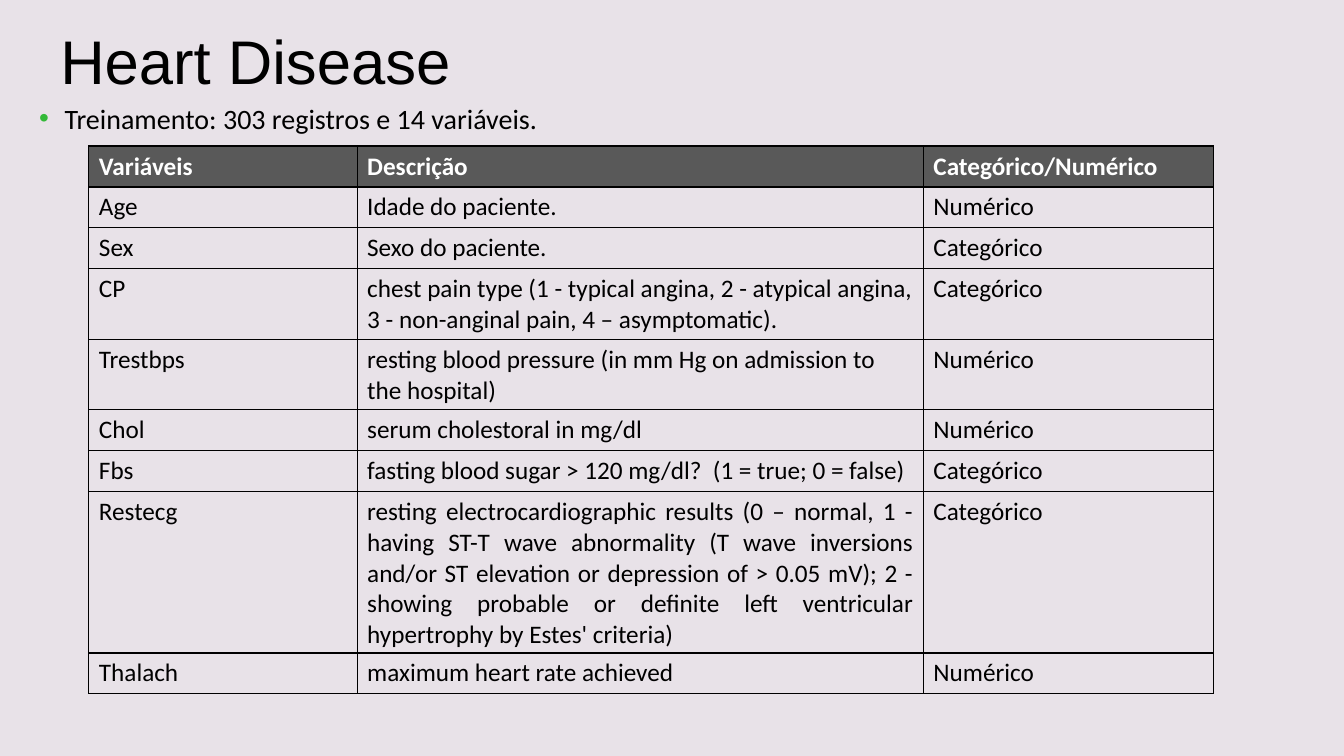
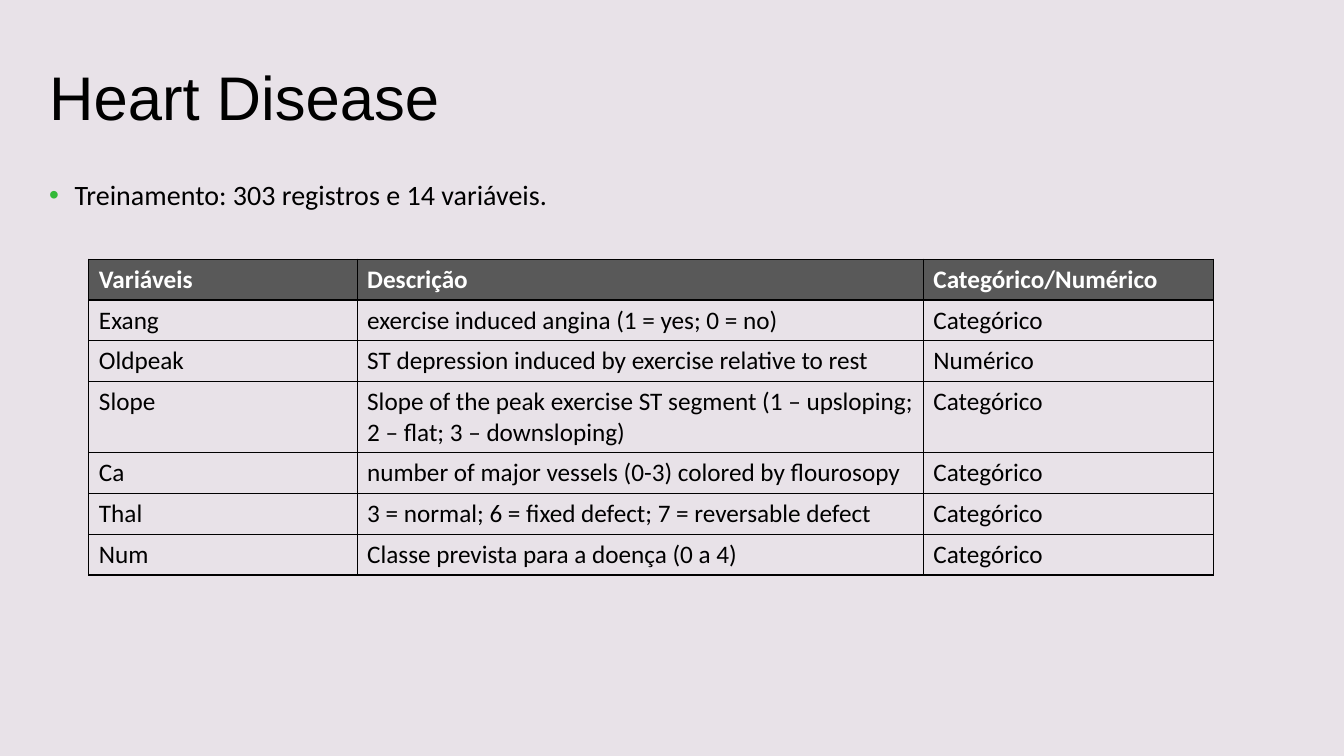
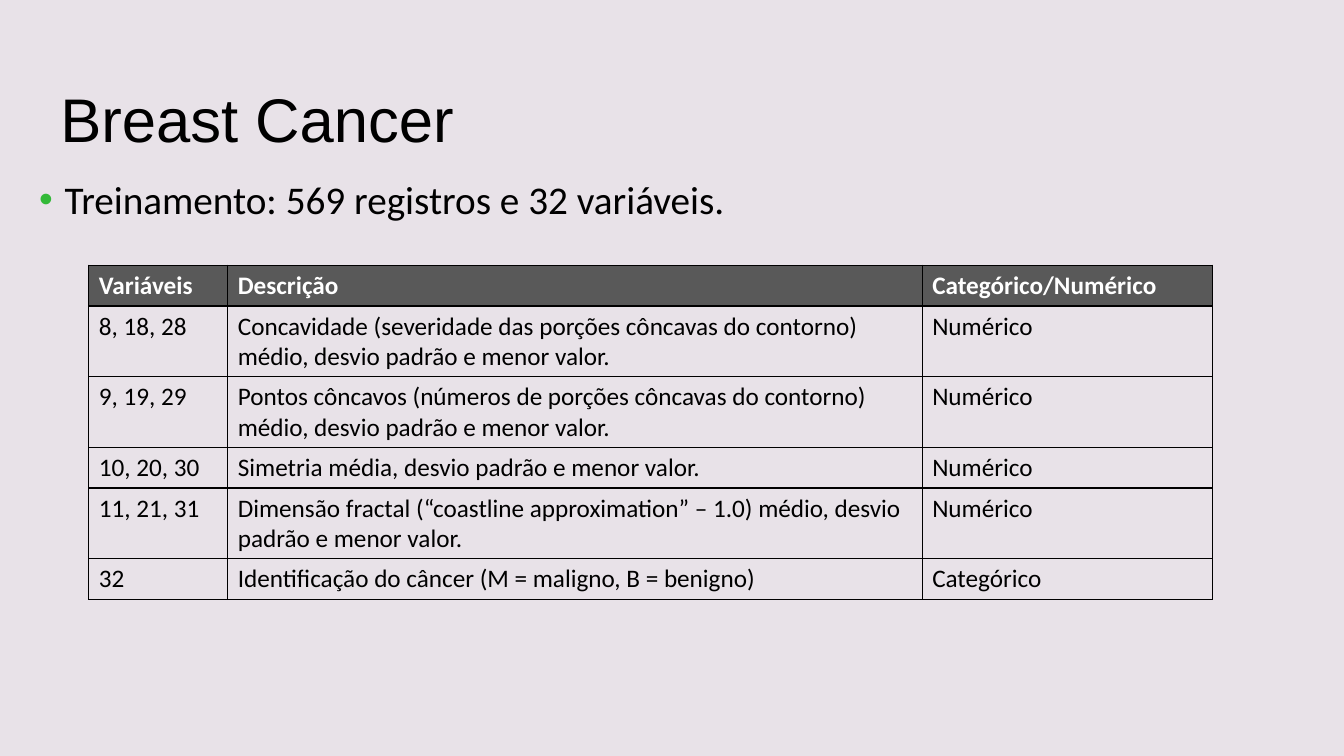
"""Builds three slides that describe the variables of two medical data sets."""
from dataclasses import dataclass

from lxml import etree
from pptx import Presentation
from pptx.dml.color import RGBColor
from pptx.enum.text import MSO_ANCHOR, PP_ALIGN
from pptx.oxml.ns import qn
from pptx.util import Cm, Pt

MIDDLE = MSO_ANCHOR.MIDDLE
LEFT = PP_ALIGN.LEFT
JUSTIFY = PP_ALIGN.JUSTIFY

NUMERIC = "Numérico"
CATEGORICAL = "Categórico"
HEADER = ("Variáveis", "Descrição", "Categórico/Numérico")
HEART_COLUMNS = (6.76, 14.27, 7.31)
CANCER_COLUMNS = (3.5, 17.5, 7.31)
HEART_SUMMARY = "Treinamento: 303 registros e 14 variáveis."

HEART_ROWS = [
    ("Age", "Idade do paciente.", NUMERIC),
    ("Sex", "Sexo do paciente.", CATEGORICAL),
    ("CP", "chest pain type (1 - typical angina, 2 - atypical angina, "
     "3 - non-anginal pain, 4 – asymptomatic).", CATEGORICAL),
    ("Trestbps", "resting blood pressure (in mm Hg on admission to the hospital)", NUMERIC),
    ("Chol", "serum cholestoral in mg/dl", NUMERIC),
    ("Fbs", "fasting blood sugar > 120 mg/dl?  (1 = true; 0 = false)", CATEGORICAL),
    ("Restecg", "resting electrocardiographic results (0 – normal, 1 - having ST-T wave "
     "abnormality (T wave inversions and/or ST elevation or depression of > 0.05 mV); "
     "2 - showing probable or definite left ventricular hypertrophy by Estes' criteria)",
     CATEGORICAL),
    ("Thalach", "maximum heart rate achieved", NUMERIC),
]
HEART_MORE_ROWS = [
    ("Exang", "exercise induced angina (1 = yes; 0 = no)", CATEGORICAL),
    ("Oldpeak", "ST depression induced by exercise relative to rest", NUMERIC),
    ("Slope", "Slope of the peak exercise ST segment (1 – upsloping; 2 – flat; "
     "3 – downsloping)", CATEGORICAL),
    ("Ca", "number of major vessels (0-3) colored by flourosopy", CATEGORICAL),
    ("Thal", "3 = normal; 6 = fixed defect; 7 = reversable defect", CATEGORICAL),
    ("Num", "Classe prevista para a doença (0 a 4)", CATEGORICAL),
]
CANCER_ROWS = [
    ("8, 18, 28", "Concavidade (severidade das porções côncavas do contorno) médio, "
     "desvio padrão e menor valor.", NUMERIC),
    ("9, 19, 29", "Pontos côncavos (números de porções côncavas do contorno) médio, "
     "desvio padrão e menor valor.", NUMERIC),
    ("10, 20, 30", "Simetria média, desvio padrão e menor valor.", NUMERIC),
    ("11, 21, 31", "Dimensão fractal (“coastline approximation” – 1.0) médio, "
     "desvio padrão e menor valor.", NUMERIC),
    ("32", "Identificação do câncer (M = maligno, B = benigno)", CATEGORICAL),
]


@dataclass(frozen=True)
class Theme:
    """Colours, fonts and type sizes of the deck."""
    paper: str = "E8E2E8"
    ink: str = "000000"
    header_fill: str = "595959"
    header_ink: str = "FFFFFF"
    bullet: str = "33B938"
    title_font: str = "Arial"
    body_font: str = "Calibri"
    title_size: int = 44
    body_size: int = 20
    large_body_size: int = 28
    table_size: int = 18


class DeckBuilder:
    """Holds the theme and the current page, and draws each kind of element."""

    def __init__(self, theme):
        """Open a widescreen deck with the shared background."""
        self.theme = theme
        self.deck = Presentation()
        self.deck.slide_width = Cm(33.87)
        self.deck.slide_height = Cm(19.05)
        fill = self.deck.slide_master.background.fill
        fill.solid()
        fill.fore_color.rgb = RGBColor.from_string(theme.paper)
        self.page = None

    def new_page(self):
        """Add a blank page and make it current."""
        self.page = self.deck.slides.add_slide(self.deck.slide_layouts[6])

    def span(self, para, text, font, size, color, bold=False):
        """Add one styled run to a paragraph."""
        run = para.add_run()
        run.text = text
        run.font.name = font
        run.font.size = Pt(size)
        run.font.bold = bold
        run.font.color.rgb = RGBColor.from_string(color)

    def text_frame(self, left, top, width, height):
        """Add a wrapping text box and return its frame."""
        box = self.page.shapes.add_textbox(Cm(left), Cm(top), Cm(width), Cm(height))
        box.text_frame.word_wrap = True
        return box.text_frame

    def title(self, text, left, top):
        """Add the page title."""
        frame = self.text_frame(left, top, 30.28, 3.68)
        frame.vertical_anchor = MIDDLE
        frame.margin_top = Cm(0.33)
        theme = self.theme
        self.span(frame.paragraphs[0], text, theme.title_font, theme.title_size, theme.ink)

    def bullet(self, text, left, top, size):
        """Add a bulleted line."""
        para = self.text_frame(left, top, 31.32, 11.66).paragraphs[0]
        properties = para._p.get_or_add_pPr()
        properties.set("marL", str(Cm(0.64)))
        properties.set("indent", str(-Cm(0.64)))
        color = etree.SubElement(properties, qn("a:buClr"))
        etree.SubElement(color, qn("a:srgbClr"), val=self.theme.bullet)
        etree.SubElement(properties, qn("a:buFont"), typeface="Arial")
        etree.SubElement(properties, qn("a:buChar"), char="•")
        para.line_spacing = 1.1
        self.span(para, text, self.theme.body_font, size, self.theme.ink)

    def borders(self, cell):
        """Outline all four sides of a cell."""
        properties = cell._tc.get_or_add_tcPr()
        for side in ("a:lnL", "a:lnR", "a:lnT", "a:lnB"):
            line = etree.SubElement(properties, qn(side), w=str(Pt(1)))
            fill = etree.SubElement(line, qn("a:solidFill"))
            etree.SubElement(fill, qn("a:srgbClr"), val=self.theme.ink)

    def cell(self, cell, text, is_header, alignment):
        """Fill in one table cell."""
        theme = self.theme
        self.borders(cell)
        if is_header:
            cell.fill.solid()
            cell.fill.fore_color.rgb = RGBColor.from_string(theme.header_fill)
        else:
            cell.fill.background()
        para = cell.text_frame.paragraphs[0]
        para.alignment = alignment
        color = theme.header_ink if is_header else theme.ink
        self.span(para, text, theme.body_font, theme.table_size, color, is_header)

    def table(self, rows, top, columns, justified=None):
        """Add a variable table, justifying the description of one variable."""
        lines = [HEADER, *rows]
        frame = self.page.shapes.add_table(
            len(lines), len(columns), Cm(2.24), Cm(top),
            Cm(sum(columns)), Cm(1.03 * len(lines)))
        table = frame.table
        table.first_row = False
        table.horz_banding = False
        for column, width in zip(table.columns, columns):
            column.width = Cm(width)
        for row, line in enumerate(lines):
            for column, text in enumerate(line):
                is_justified = column == 1 and line[0] == justified
                alignment = JUSTIFY if is_justified else LEFT
                self.cell(table.cell(row, column), text, row == 0, alignment)


def main():
    """Build the three pages and save the deck."""
    theme = Theme()
    builder = DeckBuilder(theme)

    builder.new_page()
    builder.title("Heart Disease", 1.27, -0.43)
    builder.table(HEART_ROWS, 3.68, HEART_COLUMNS, "Restecg")
    builder.bullet(HEART_SUMMARY, 0.74, 2.34, theme.body_size)

    builder.new_page()
    builder.title("Heart Disease", 0.99, 0.48)
    builder.table(HEART_MORE_ROWS, 6.53, HEART_COLUMNS, "Slope")
    builder.bullet(HEART_SUMMARY, 0.99, 4.27, theme.body_size)

    builder.new_page()
    builder.title("Breast Cancer", 1.27, 1.02)
    builder.table(CANCER_ROWS, 6.68, CANCER_COLUMNS)
    builder.bullet("Treinamento: 569 registros e 32 variáveis.", 0.74, 4.17,
                   theme.large_body_size)

    builder.deck.save("out.pptx")


if __name__ == "__main__":
    main()
